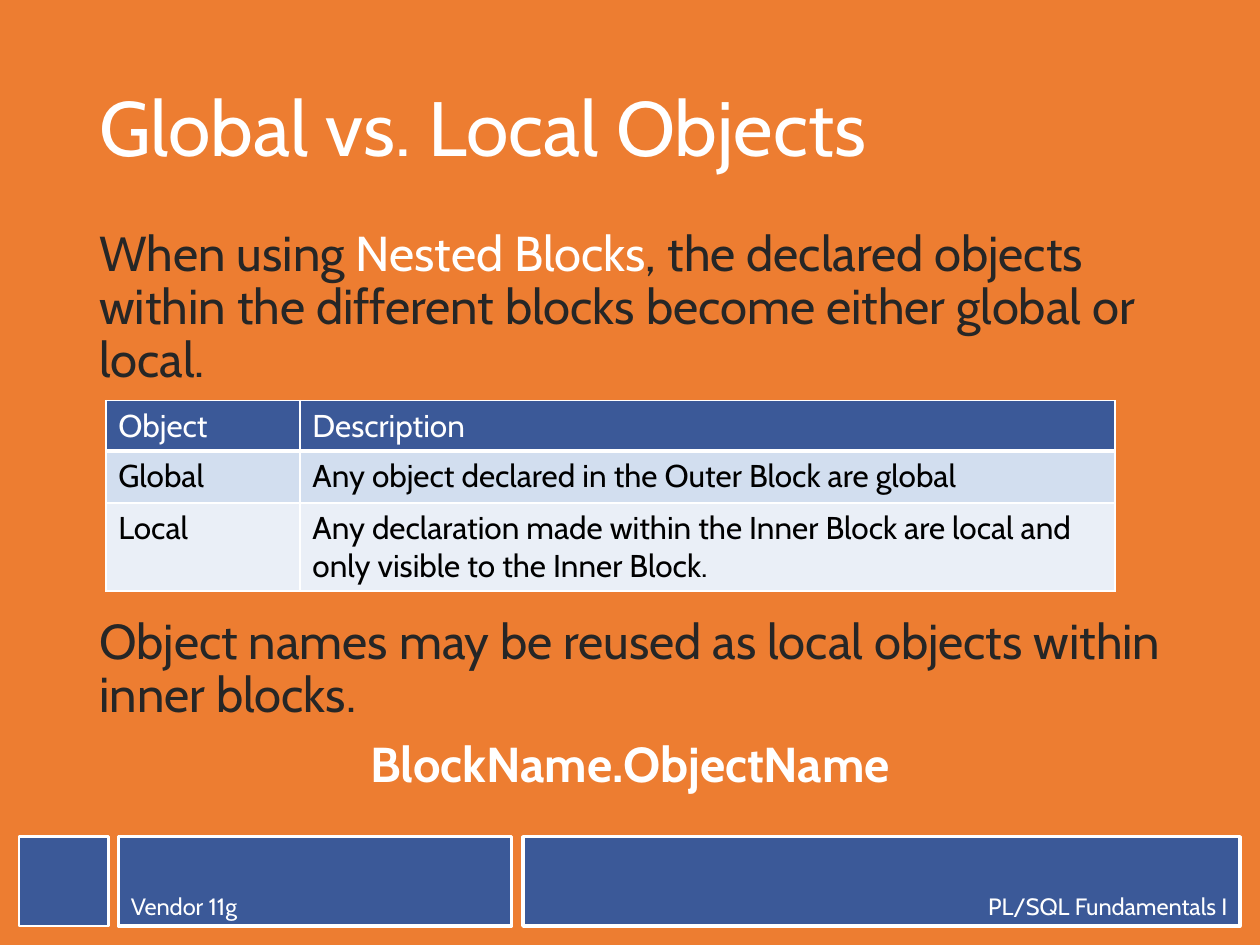
from lxml.etree import SubElement
from pptx import Presentation
from pptx.dml.color import RGBColor
from pptx.enum.shapes import MSO_SHAPE
from pptx.enum.text import MSO_ANCHOR, PP_ALIGN
from pptx.oxml.ns import qn
from pptx.util import Inches, Pt

COLORS = {"bg": "ED7D31", "blue": "3B5998", "white": "FFFFFF", "dark": "262626",
          "black": "000000", "band1": "D2DEEF", "band2": "EAEFF7"}
RGB = {name: RGBColor.from_string(value) for name, value in COLORS.items()}
COLS, ROWS = 100, 75  # slide grid

prs = Presentation()
prs.slide_width, prs.slide_height = Inches(10), Inches(7.5)
s = prs.slides.add_slide(prs.slide_layouts[6])
s.background.fill.solid()
s.background.fill.fore_color.rgb = RGB["bg"]


def grid(*cells):
    """Turn left, top, width, height in grid cells into slide lengths."""
    sides = (prs.slide_width / COLS, prs.slide_height / ROWS) * 2
    return [round(n * side) for n, side in zip(cells, sides)]


def write(p, text, size, color, bold=False, **layout):
    """Add one run to a paragraph and set the paragraph's layout."""
    for name, value in layout.items():
        setattr(p, name, value)
    r = p.add_run()
    r.text = text
    for name, value in {"name": "Cabin", "size": Pt(size), "bold": bold}.items():
        setattr(r.font, name, value)
    r.font.color.rgb = RGB[color]


# Footer bars
bars = [(9.4, 31.2, 2, "Vendor 11g", PP_ALIGN.LEFT),
        (41.5, 56.9, 2, "PL/SQL Fundamentals I", PP_ALIGN.RIGHT),
        (1.5, 7.1, 1.5, "", PP_ALIGN.LEFT)]
for left, width, line, text, align in bars:
    sp = s.shapes.add_shape(MSO_SHAPE.RECTANGLE, *grid(left, 66.4, width, 7.1))
    sp.shadow.inherit = False
    sp.fill.solid()
    sp.fill.fore_color.rgb = RGB["blue"]
    sp.line.color.rgb = RGB["white"]
    sp.line.width = Pt(line)
    if text:
        tf = sp.text_frame
        tf.vertical_anchor = MSO_ANCHOR.BOTTOM
        write(tf.paragraphs[0], text, 13.5, "white", alignment=align)

# Title
tf = s.shapes.add_textbox(*grid(6.9, 4, 86.2, 12.8)).text_frame
tf.word_wrap = True
tf.vertical_anchor = MSO_ANCHOR.MIDDLE
write(tf.paragraphs[0], "Global vs. Local Objects", 44, "white", line_spacing=0.9)

# Body text, with room for the table after the first paragraph
tf = s.shapes.add_textbox(*grid(6.9, 17.7, 86.2, 48.3)).text_frame
tf.word_wrap = True
p = tf.paragraphs[0]
write(p, "When using ", 28, "dark", line_spacing=0.9)
write(p, "Nested Blocks", 28, "white")
write(p, ", the declared objects within the different blocks become either global or local.",
      28, "dark")
write(tf.add_paragraph(), "Object names may be reused as local objects within inner blocks.",
      28, "dark", line_spacing=0.9, space_before=Pt(131))
write(tf.add_paragraph(), "BlockName.ObjectName", 28, "white", bold=True,
      line_spacing=0.9, space_before=Pt(10), alignment=PP_ALIGN.CENTER)

# Table: fill, text colour, height in grid rows, cell texts
rows = [("blue", "white", 4, ("Object", "Description")),
        ("band1", "black", 4.1, ("Global", "Any object declared in the Outer Block are global")),
        ("band2", "black", 7, ("Local", "Any declaration made within the Inner Block are local "
                               "and only visible to the Inner Block."))]
table = s.shapes.add_table(len(rows), 2, *grid(8.4, 31.8, 80.1, 15.1)).table
for col, width in zip(table.columns, grid(15.4, 0, 64.7)[::2]):
    col.width = width
for i, (fill, color, height, texts) in enumerate(rows):
    table.rows[i].height = grid(0, height)[1]
    for j, text in enumerate(texts):
        cell = table.cell(i, j)
        write(cell.text_frame.paragraphs[0], text, 18, color)
        # Borders come before the fill; the rule under the header is thick
        tcPr = cell._tc.get_or_add_tcPr()
        for side in ("L", "R", "T", "B"):
            thick = (i, side) in ((0, "B"), (1, "T"))
            ln = SubElement(tcPr, qn(f"a:ln{side}"), w=str(Pt(3 if thick else 1)))
            SubElement(SubElement(ln, qn("a:solidFill")), qn("a:srgbClr"), val=COLORS["white"])
        cell.fill.solid()
        cell.fill.fore_color.rgb = RGB[fill]

prs.save("out.pptx")
